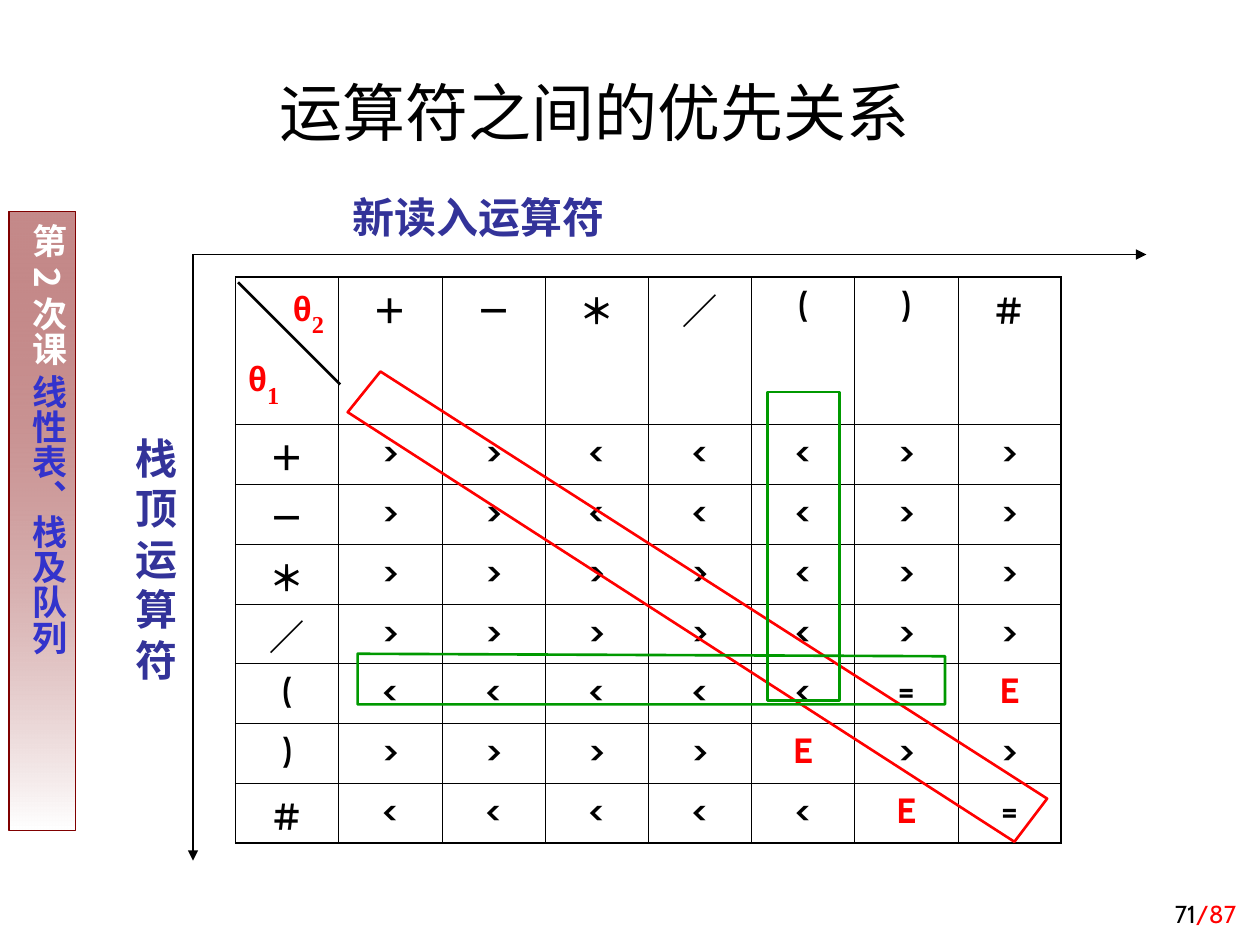
from dataclasses import dataclass

import pptx
import pptx.dml.color
import pptx.enum.shapes
import pptx.enum.text
import pptx.oxml
import pptx.oxml.ns
import pptx.util
from lxml import etree

Cm, Pt = pptx.util.Cm, pptx.util.Pt
Align = pptx.enum.text.PP_ALIGN
Anchor = pptx.enum.text.MSO_ANCHOR
qn = pptx.oxml.ns.qn


@dataclass(frozen=True)
class Theme:
    black: str = "000000"
    white: str = "FFFFFF"
    red: str = "FF0000"
    green: str = "009900"
    navy: str = "333399"
    blue: str = "3333CC"
    maroon: str = "800000"
    body: str = "Cabin"
    serif: str = "Times New Roman"
    greek: str = "Arial"
    chinese: str = "Noto Sans CJK SC"
    title: int = 36
    label: int = 24
    operator: int = 20
    page: int = 14
    outline: float = 1.5
    axis: float = 0.75
    frame: float = 1.08
    grid: float = 0.45


THEME = Theme()
OPERATORS = "＋－＊／()＃"
RELATIONS = [">><<<>>", ">><<<>>", ">>>><>>", ">>>><>>",
             "<<<<<=E", ">>>>E>>", "<<<<<E="]


def rgb(value):
    return pptx.dml.color.RGBColor.from_string(value)


def style(font, name=None, size=None, color=None, bold=None):
    font.name, font.bold = name, bold
    if size:
        font.size = Pt(size)
    if color:
        font.color.rgb = rgb(color)


def set_margins(holder, horizontal, vertical):
    holder.margin_left = holder.margin_right = Cm(horizontal)
    holder.margin_top = holder.margin_bottom = Cm(vertical)


def write_runs(paragraph, pieces):
    """Add one run for each (text, color) pair."""
    for text, color in pieces:
        run = paragraph.add_run()
        run.text = text
        run.font.color.rgb = rgb(color)


def add_text(slide, box, pieces, name, size, bold=False,
             align=Align.LEFT, anchor=Anchor.TOP, wrap=True):
    frame = slide.shapes.add_textbox(*map(Cm, box)).text_frame
    frame.word_wrap = wrap
    frame.vertical_anchor = anchor
    set_margins(frame, 0.25, 0.13)
    paragraph = frame.paragraphs[0]
    paragraph.alignment = align
    style(paragraph.font, name, size, bold=bold)
    write_runs(paragraph, pieces)


def add_sidebar(slide):
    bar = slide.shapes.add_shape(pptx.enum.shapes.MSO_SHAPE.RECTANGLE,
                                 Cm(0.18), Cm(4.27), Cm(1.35), Cm(12.47))
    bar.shadow.inherit = False
    bar.fill.gradient()
    bar.fill.gradient_angle = 270
    for stop, color in zip(bar.fill.gradient_stops, (THEME.maroon, THEME.white)):
        stop.color.rgb = rgb(color)
    top_color = next(bar._element.spPr.iter(qn("a:srgbClr")))
    etree.SubElement(top_color, qn("a:alpha"), val="46000")
    bar.line.color.rgb = rgb(THEME.maroon)
    bar.line.width = Pt(THEME.axis)

    frame = bar.text_frame
    frame.word_wrap = True
    frame.vertical_anchor = Anchor.TOP
    set_margins(frame, 0.13, 0.25)
    frame._txBody.bodyPr.set("vert", "eaVert")
    paragraph = frame.paragraphs[0]
    paragraph.alignment = Align.CENTER
    style(paragraph.font, THEME.chinese, THEME.operator, bold=True)
    write_runs(paragraph, [("第2次课 ", THEME.white),
                           ("线性表、栈及队列", THEME.blue)])


def set_borders(cell, widths):
    properties = cell._tc.get_or_add_tcPr()
    for side, width in zip("LRTB", widths):
        line = etree.SubElement(properties, qn(f"a:ln{side}"), w=str(Pt(width)))
        fill = etree.SubElement(line, qn("a:solidFill"))
        etree.SubElement(fill, qn("a:srgbClr"), val=THEME.black)


def write_theta(paragraph, index):
    paragraph.space_after = Pt(9)
    style(paragraph.font, color=THEME.red, bold=True)
    theta, subscript = paragraph.add_run(), paragraph.add_run()
    theta.text, subscript.text = "θ", index
    style(theta.font, THEME.greek, THEME.operator)
    style(subscript.font, THEME.serif, THEME.label)
    subscript.font._element.set("baseline", "-30000")


def write_symbol(paragraph, symbol):
    paragraph.text = symbol
    paragraph.alignment = Align.CENTER
    style(paragraph.font, THEME.body, THEME.operator,
          THEME.red if symbol == "E" else THEME.black, bold=True)


def add_precedence_table(slide):
    count = len(OPERATORS) + 1
    width, height, header_height = 16.64, 11.41, 2.97
    table = slide.shapes.add_table(count, count, Cm(4.75), Cm(5.59),
                                   Cm(width), Cm(height)).table
    table.first_row = table.horz_banding = False
    for column in table.columns:
        column.width = Cm(width / count)
    for row in table.rows:
        row.height = Cm((height - header_height) / (count - 1))
    table.rows[0].height = Cm(header_height)

    symbols = [" " + OPERATORS]
    symbols += [label + row for label, row in zip(OPERATORS, RELATIONS)]
    last = count - 1
    for r, row in enumerate(symbols):
        for c, symbol in enumerate(row):
            cell = table.cell(r, c)
            edges = (c == 0, c == last, r == 0, r == last)
            set_borders(cell, [THEME.frame if edge else THEME.grid for edge in edges])
            cell.fill.background()
            cell.margin_bottom = Cm(0.03)
            if r or c:
                write_symbol(cell.text_frame.paragraphs[0], symbol)

    corner = table.cell(0, 0).text_frame
    incoming, stacked = corner.paragraphs[0], corner.add_paragraph()
    incoming._p.get_or_add_pPr().set("marL", str(Cm(0.9)))
    write_theta(incoming, "2")
    write_theta(stacked, "1")


def add_line(slide, start, end, width, arrow=False):
    line = slide.shapes.add_connector(pptx.enum.shapes.MSO_CONNECTOR.STRAIGHT,
                                      *map(Cm, start + end))
    line.line.color.rgb = rgb(THEME.black)
    line.line.width = Pt(width)
    if arrow:
        etree.SubElement(line.line._get_or_add_ln(), qn("a:tailEnd"), type="triangle")
    etree.SubElement(line._element.spPr, qn("a:effectLst"))


def outline(shape, color):
    shape.shadow.inherit = False
    shape.fill.background()
    shape.line.color.rgb = rgb(color)
    shape.line.width = Pt(THEME.outline)


def add_polygon(slide, points, color):
    first, *others = [(Cm(x), Cm(y)) for x, y in points]
    builder = slide.shapes.build_freeform(*first)
    builder.add_line_segments(others, close=True)
    outline(builder.convert_to_shape(), color)


def main():
    deck = pptx.Presentation()
    deck.slide_width, deck.slide_height = Cm(25.4), Cm(19.05)
    slide = deck.slides.add_slide(deck.slide_layouts[6])

    add_sidebar(slide)
    add_text(slide, (19.89, 17.58, 5.28, 1.27),
             [("71", THEME.black), ("/87", THEME.red)], THEME.body, THEME.page,
             align=Align.RIGHT, anchor=Anchor.BOTTOM)
    add_text(slide, (4.09, 1.12, 15.8, 2.01), [("运算符之间的优先关系", THEME.black)],
             THEME.body, THEME.title, align=Align.CENTER, anchor=Anchor.BOTTOM)
    add_precedence_table(slide)
    add_text(slide, (6.86, 3.73, 5.59, 1.27), [("新读入运算符", THEME.navy)],
             THEME.serif, THEME.label, bold=True, wrap=False)
    add_text(slide, (2.49, 8.59, 1.27, 6.35), [("栈顶运算符", THEME.navy)],
             THEME.serif, THEME.label, bold=True)

    add_line(slide, (4.8, 5.69), (6.86, 7.75), THEME.outline)
    add_polygon(slide, [(7.67, 7.49), (21.11, 16.1), (20.45, 16.97), (7.01, 8.31)],
                THEME.red)
    add_polygon(slide, [(7.21, 13.18), (19.05, 13.23), (19.05, 14.2), (7.21, 14.2)],
                THEME.green)
    column_mark = slide.shapes.add_shape(pptx.enum.shapes.MSO_SHAPE.RECTANGLE,
                                         Cm(15.47), Cm(7.9), Cm(1.45), Cm(6.22))
    outline(column_mark, THEME.green)

    origin = (3.89, 5.13)
    for tip in ((3.89, 17.35), (23.11, 5.13)):
        add_line(slide, origin, tip, THEME.axis, arrow=True)

    deck.save("out.pptx")


if __name__ == "__main__":
    main()
